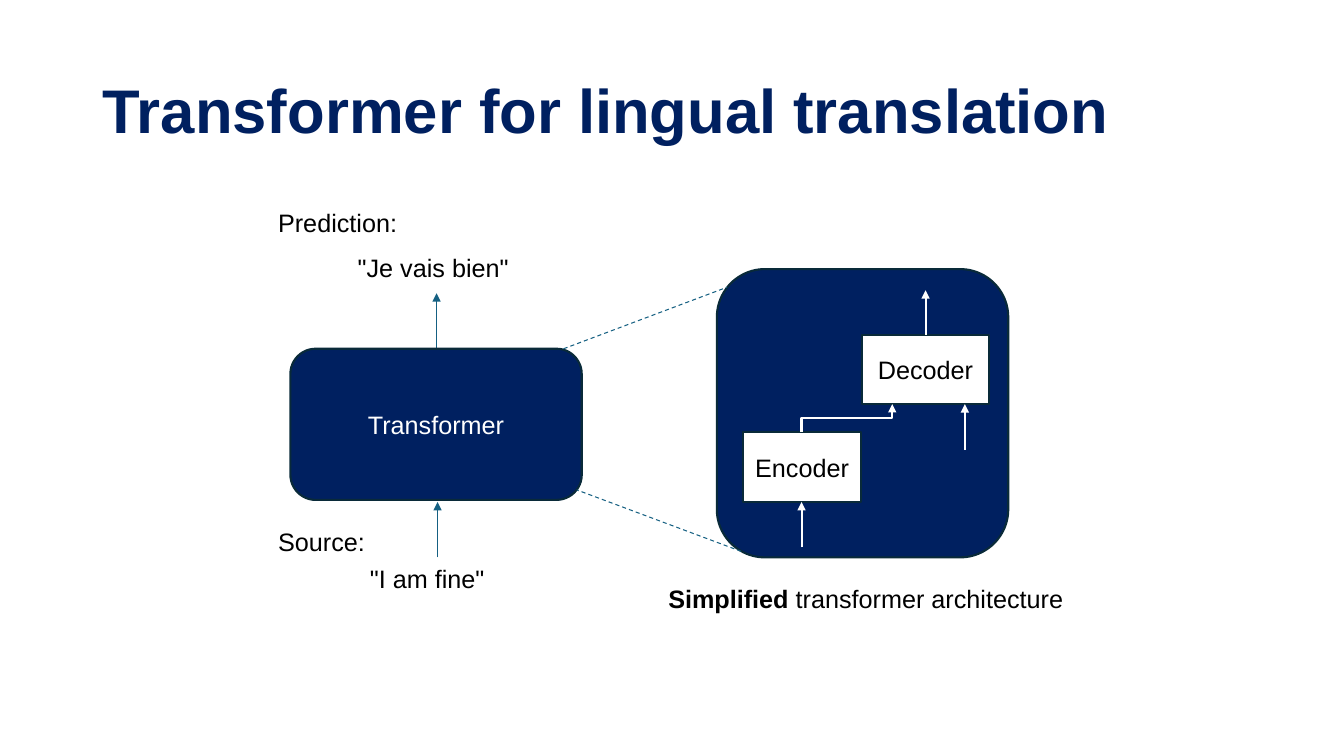
from lxml import etree
from pptx import Presentation
from pptx.dml.color import RGBColor
from pptx.enum.dml import MSO_LINE
from pptx.enum.shapes import MSO_CONNECTOR, MSO_SHAPE
from pptx.enum.text import MSO_ANCHOR, PP_ALIGN
from pptx.oxml.ns import qn
from pptx.util import Inches, Pt

NAVY = RGBColor(0x00, 0x20, 0x60)
OUTLINE = RGBColor(0x09, 0x2A, 0x39)
TEAL = RGBColor(0x15, 0x60, 0x82)
WHITE = RGBColor(0xFF, 0xFF, 0xFF)
BLACK = RGBColor(0x00, 0x00, 0x00)


def add_run(paragraph, text, color=BLACK, size=18, bold=False):
    """Append one styled run to a paragraph."""
    run = paragraph.add_run()
    run.text = text
    font = run.font
    font.name, font.size, font.bold = "Arial", Pt(size), bold
    font.color.rgb = color


def add_text_box(slide, left, top, width, height=0.4):
    """Add a wrapping text box and return its text frame."""
    box = slide.shapes.add_textbox(*map(Inches, (left, top, width, height)))
    box.text_frame.word_wrap = True
    return box.text_frame


def add_label(slide, text, left, top, width):
    """Add a one-line black label."""
    frame = add_text_box(slide, left, top, width)
    add_run(frame.paragraphs[0], text)


def add_title(slide, text):
    """Add the slide title."""
    frame = add_text_box(slide, 0.92, 0.4, 11.5, 1.45)
    frame.vertical_anchor = MSO_ANCHOR.MIDDLE
    paragraph = frame.paragraphs[0]
    paragraph.line_spacing = 0.9
    add_run(paragraph, text, NAVY, 44, True)


def add_block(slide, kind, bounds, fill, text="", color=BLACK):
    """Add a filled, outlined block with optional centred text."""
    shape = slide.shapes.add_shape(kind, *map(Inches, bounds))
    shape.shadow.inherit = False
    shape.fill.solid()
    shape.fill.fore_color.rgb = fill
    shape.line.color.rgb = OUTLINE
    shape.line.width = Pt(1.5)
    if text:
        frame = shape.text_frame
        frame.word_wrap = True
        frame.vertical_anchor = MSO_ANCHOR.MIDDLE
        paragraph = frame.paragraphs[0]
        paragraph.alignment = PP_ALIGN.CENTER
        add_run(paragraph, text, color)


def add_line(slide, start, end, color, width, kind=MSO_CONNECTOR.STRAIGHT):
    """Add a connector without shadow between two points."""
    connector = slide.shapes.add_connector(kind, *map(Inches, start + end))
    connector.line.color.rgb = color
    connector.line.width = Pt(width)
    etree.SubElement(connector._element.spPr, qn("a:effectLst"))
    return connector


def add_arrow(slide, start, end, color, width, kind=MSO_CONNECTOR.STRAIGHT):
    """Add a connector with a triangle head at its end."""
    connector = add_line(slide, start, end, color, width, kind)
    line = connector.line._get_or_add_ln()
    etree.SubElement(line, qn("a:tailEnd"), type="triangle")
    return connector


def add_rising_elbow(slide, start, end, color, width):
    """Add an elbow arrow that leaves upwards, runs right and ends upwards."""
    center_x, center_y = (start[0] + end[0]) / 2, (start[1] + end[1]) / 2
    half_run, half_rise = (end[0] - start[0]) / 2, (start[1] - end[1]) / 2
    connector = add_arrow(
        slide,
        (center_x + half_rise, center_y + half_run),
        (center_x - half_rise, center_y - half_run),
        color, width, MSO_CONNECTOR.ELBOW)
    connector._element.spPr.find(qn("a:xfrm")).set("rot", "5400000")


def add_dashed_line(slide, start, end):
    """Add a thin dashed zoom line."""
    add_line(slide, start, end, TEAL, 0.75).line.dash_style = MSO_LINE.DASH


def main():
    """Build the slide and save it."""
    presentation = Presentation()
    presentation.slide_width, presentation.slide_height = Inches(13.33), Inches(7.5)
    slide = presentation.slides.add_slide(presentation.slide_layouts[6])

    add_title(slide, "Transformer for lingual translation")
    add_label(slide, "\"I am fine\"", 3.57, 5.54, 1.45)
    add_label(slide, "\"Je vais bien\"", 3.45, 2.45, 1.93)
    add_label(slide, "Source:", 2.66, 5.17, 1.54)
    add_label(slide, "Prediction:", 2.66, 2.01, 1.54)

    rounded, plain = MSO_SHAPE.ROUNDED_RECTANGLE, MSO_SHAPE.RECTANGLE
    add_arrow(slide, (4.33, 3.46), (4.33, 2.91), TEAL, 1)
    add_block(slide, rounded, (2.88, 3.46, 2.89, 1.5), NAVY, "Transformer", WHITE)
    add_arrow(slide, (4.34, 5.53), (4.34, 4.98), TEAL, 1)

    add_block(slide, rounded, (7.11, 2.67, 2.89, 2.86), NAVY)
    add_block(slide, plain, (7.37, 4.29, 1.17, 0.69), WHITE, "Encoder")
    add_block(slide, plain, (8.55, 3.32, 1.26, 0.69), WHITE, "Decoder")
    add_rising_elbow(slide, (7.95, 4.29), (8.85, 4.01), WHITE, 1.5)
    for x, bottom, top in ((7.95, 5.43, 4.98), (9.57, 4.46, 4.01), (9.18, 3.32, 2.88)):
        add_arrow(slide, (x, bottom), (x, top), WHITE, 1.5)

    add_dashed_line(slide, (5.59, 3.46), (7.21, 2.85))
    add_dashed_line(slide, (7.35, 5.47), (5.72, 4.86))

    caption = add_text_box(slide, 6.53, 5.74, 4.33).paragraphs[0]
    add_run(caption, "Simplified", bold=True)
    add_run(caption, " transformer architecture")

    presentation.save("out.pptx")


if __name__ == "__main__":
    main()
